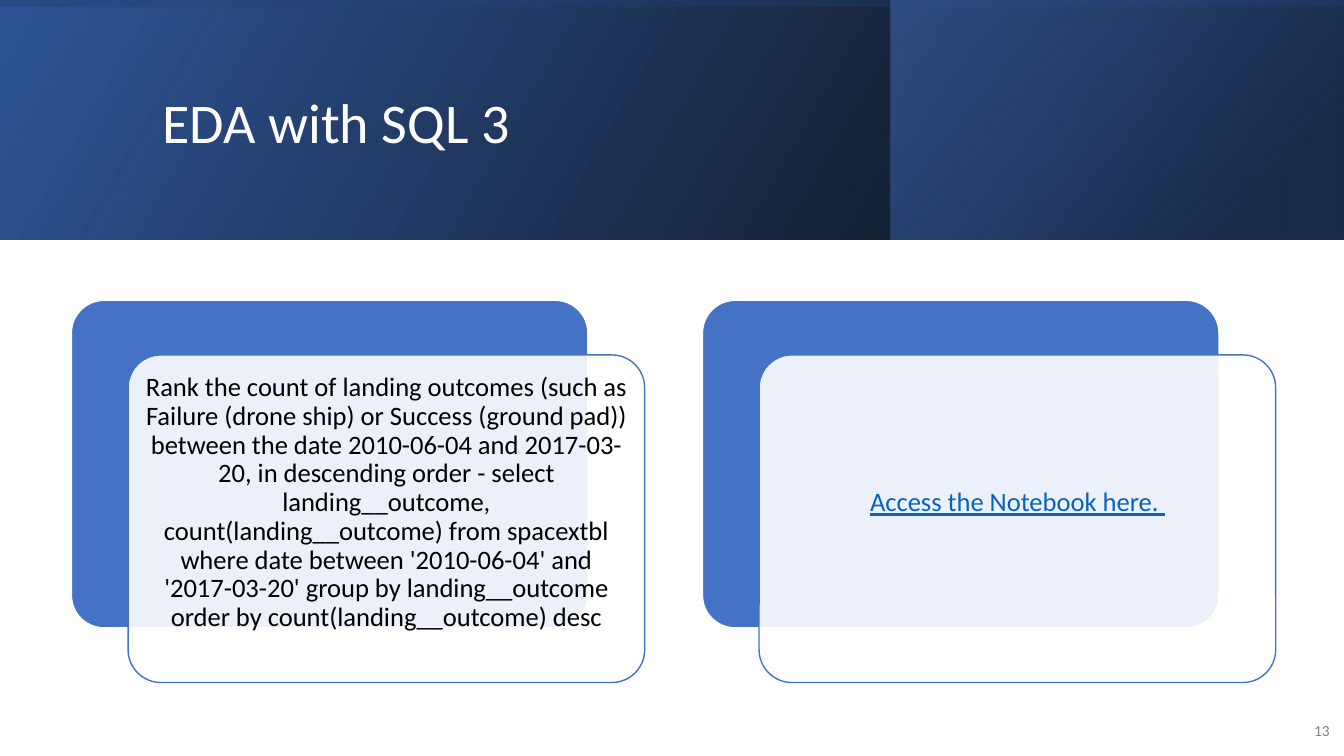
import dataclasses
import typing

import pptx
import pptx.dml.color
import pptx.enum.shapes
import pptx.enum.text
import pptx.util
import pptx.oxml.ns
import lxml.etree

EMU_PER_PX = 9525
SLIDE_WIDTH, SLIDE_HEIGHT = 1280, 720
BANNER_HEIGHT = 228
CARD_WIDTH, CARD_HEIGHT = 492, 312
CARD_TOP = 286
FRONT_SHIFT_X, FRONT_SHIFT_Y = 54, 52
FONT = "Calibri"
BLUE, WHITE, BLACK, GRAY, LINK_BLUE = "4472C4", "FFFFFF", "000000", "808080", "0563C1"

ALIGN = pptx.enum.text.PP_ALIGN
MIDDLE = pptx.enum.text.MSO_ANCHOR.MIDDLE
SHAPE = pptx.enum.shapes.MSO_SHAPE


class Box(typing.NamedTuple):
    left: int
    top: int
    width: int
    height: int


class Stop(typing.NamedTuple):
    position: float
    color: str
    opacity: int


@dataclasses.dataclass(frozen=True)
class Banner:
    box: Box
    stops: tuple[Stop, Stop]
    angle: int
    rotation: int = 0


@dataclasses.dataclass(frozen=True)
class Card:
    left: int
    text: str
    color: str
    underline: bool = False


BANNERS = (
    Banner(Box(0, 0, SLIDE_WIDTH, BANNER_HEIGHT),
           (Stop(0, BLACK, 96), Stop(1, "2F5597", 100)), 30),
    Banner(Box(848, 0, 431, BANNER_HEIGHT),
           (Stop(0.19, "203864", 68), Stop(1, BLUE, 48)), 40),
    Banner(Box((SLIDE_WIDTH - BANNER_HEIGHT) // 2, (BANNER_HEIGHT - SLIDE_WIDTH) // 2,
               BANNER_HEIGHT, SLIDE_WIDTH),
           (Stop(0.23, "2F5597", 16), Stop(0.99, BLACK, 45)), 10, 270),
)

CARDS = (
    Card(68, "Rank the count of landing outcomes (such as Failure (drone ship) or Success "
             "(ground pad)) between the date 2010-06-04 and 2017-03-20, in descending order "
             "- select landing__outcome, count(landing__outcome) from spacextbl where date "
             "between '2010-06-04' and '2017-03-20' group by landing__outcome order by "
             "count(landing__outcome) desc", BLACK),
    Card(669, "Access the Notebook here. ", LINK_BLUE, True),
)


def px(value: int) -> pptx.util.Emu:
    return pptx.util.Emu(value * EMU_PER_PX)


def rgb(value: str) -> pptx.dml.color.RGBColor:
    return pptx.dml.color.RGBColor.from_string(value)


def apply_format(target: typing.Any, values: dict[str, typing.Any]) -> None:
    for name, value in values.items():
        setattr(target, name, value)


def place(shape: typing.Any, box: Box) -> None:
    apply_format(shape, {name: px(value) for name, value in box._asdict().items()})


def set_opacity(shape: typing.Any, opacities: typing.Sequence[int]) -> None:
    colors = shape._element.spPr.iter(pptx.oxml.ns.qn("a:srgbClr"))
    for color, opacity in zip(colors, opacities):
        alpha = lxml.etree.SubElement(color, pptx.oxml.ns.qn("a:alpha"))
        alpha.set("val", str(opacity * 1000))


def write_text(shape: typing.Any, text: str, size: int, color: str,
               paragraph_format: dict[str, typing.Any],
               frame_format: dict[str, typing.Any] | None = None,
               underline: bool | None = None) -> None:
    frame = shape.text_frame
    apply_format(frame, {"word_wrap": True, "vertical_anchor": MIDDLE,
                         "auto_size": pptx.enum.text.MSO_AUTO_SIZE.NONE,
                         **(frame_format or {})})
    paragraph = frame.paragraphs[0]
    apply_format(paragraph, paragraph_format)
    run = paragraph.add_run()
    run.text = text
    apply_format(run.font, {"name": FONT, "size": pptx.util.Pt(size), "underline": underline})
    run.font.color.rgb = rgb(color)


def draw_banner(slide: typing.Any, banner: Banner) -> None:
    shape = slide.shapes.add_shape(SHAPE.RECTANGLE, *map(px, banner.box))
    shape.shadow.inherit = False
    shape.rotation = banner.rotation
    shape._element.spPr.xfrm.set("flipH", "1")
    shape.line.fill.background()
    shape.fill.gradient()
    shape.fill.gradient_angle = banner.angle
    for gradient_stop, stop in zip(shape.fill.gradient_stops, banner.stops):
        gradient_stop.position = stop.position
        gradient_stop.color.rgb = rgb(stop.color)
    set_opacity(shape, [stop.opacity for stop in banner.stops])


def draw_panel(slide: typing.Any, left: int, top: int, fill: str, line: str) -> typing.Any:
    shape = slide.shapes.add_shape(SHAPE.ROUNDED_RECTANGLE,
                                   *map(px, Box(left, top, CARD_WIDTH, CARD_HEIGHT)))
    shape.adjustments[0] = 0.1
    shape.shadow.inherit = False
    shape.fill.solid()
    shape.fill.fore_color.rgb = rgb(fill)
    shape.line.color.rgb = rgb(line)
    shape.line.width = pptx.util.Pt(1)
    return shape


def draw_card(slide: typing.Any, card: Card) -> None:
    draw_panel(slide, card.left, CARD_TOP, BLUE, WHITE)
    front = draw_panel(slide, card.left + FRONT_SHIFT_X, CARD_TOP + FRONT_SHIFT_Y, WHITE, BLUE)
    set_opacity(front, [90])
    insets = {"margin_left": px(6), "margin_top": px(8),
              "margin_right": px(6), "margin_bottom": px(38)}
    write_text(front, card.text, 19, card.color,
               {"alignment": ALIGN.CENTER, "line_spacing": 0.9}, insets, card.underline)


def main() -> None:
    presentation = pptx.Presentation()
    presentation.slide_width = px(SLIDE_WIDTH)
    presentation.slide_height = px(SLIDE_HEIGHT)
    slide = presentation.slides.add_slide(presentation.slide_layouts[5])

    for banner in BANNERS:
        draw_banner(slide, banner)

    title = slide.shapes.title
    slide.shapes._spTree.append(title._element)
    place(title, Box(145, 37, 1020, 165))
    write_text(title, "EDA with SQL 3", 40, WHITE,
               {"alignment": ALIGN.LEFT, "line_spacing": 0.9})

    page_number = slide.shapes.add_textbox(*map(px, Box(1229, 677, 47, 38)))
    write_text(page_number, "13", 11, GRAY, {"alignment": ALIGN.RIGHT})

    for card in CARDS:
        draw_card(slide, card)

    presentation.save("out.pptx")


if __name__ == "__main__":
    main()
